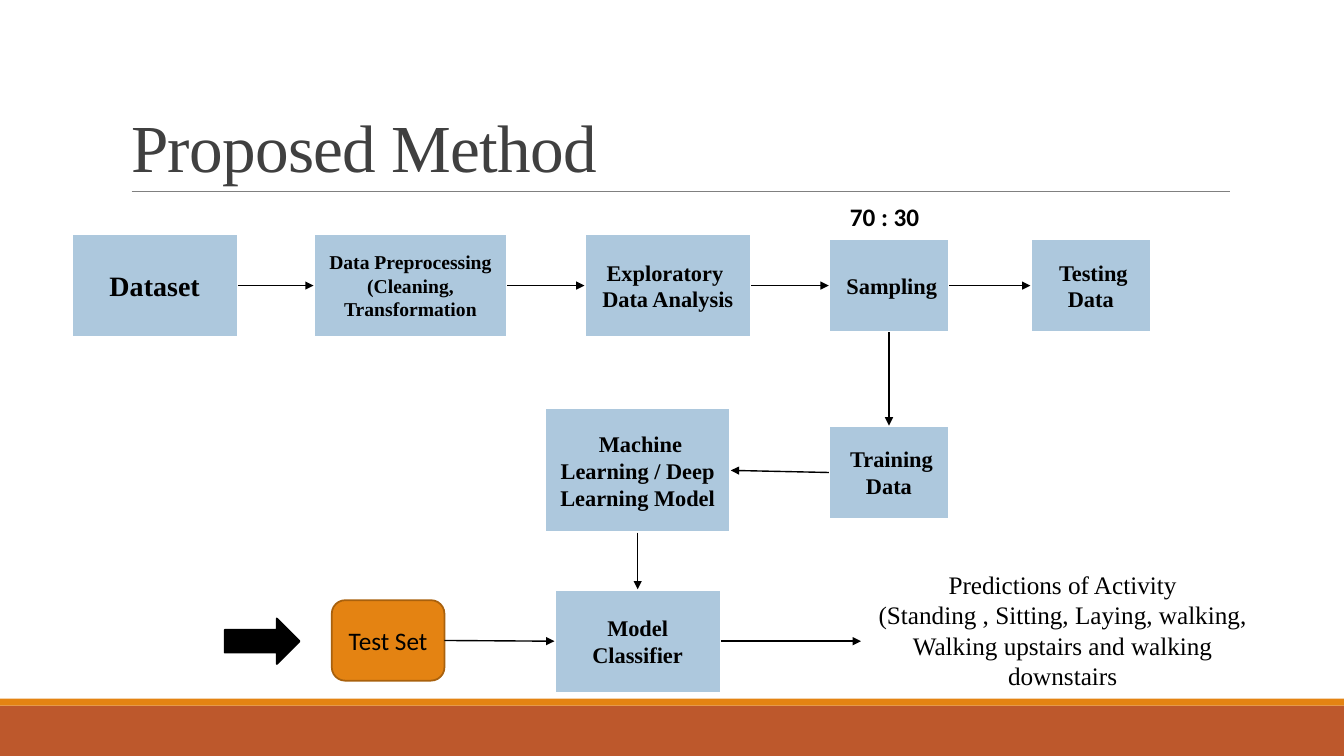
from dataclasses import dataclass

from lxml import etree
from pptx import Presentation
from pptx.dml.color import RGBColor
from pptx.dml.fill import FillFormat
from pptx.enum.shapes import MSO_CONNECTOR, MSO_SHAPE
from pptx.enum.text import MSO_ANCHOR, MSO_AUTO_SIZE, PP_ALIGN
from pptx.oxml.ns import qn
from pptx.shapes.autoshape import Shape
from pptx.shapes.connector import Connector
from pptx.text.text import TextFrame
from pptx.util import Pt

RECT, ROUND, ARROW = MSO_SHAPE.RECTANGLE, MSO_SHAPE.ROUNDED_RECTANGLE, MSO_SHAPE.RIGHT_ARROW
LINE = MSO_CONNECTOR.STRAIGHT
TOP, MIDDLE, BOTTOM = MSO_ANCHOR.TOP, MSO_ANCHOR.MIDDLE, MSO_ANCHOR.BOTTOM
LEFT, CENTER = PP_ALIGN.LEFT, PP_ALIGN.CENTER
FIXED = MSO_AUTO_SIZE.NONE
UP, WEST, DOWN, EAST = range(4)
SITES = {UP: (0.5, 0), WEST: (0, 0.5), DOWN: (0.5, 1), EAST: (1, 0.5)}

SERIF, SANS = "Times New Roman", "Calibri"
BLACK, WHITE, BLUE, ORANGE = "000000", "FFFFFF", "ADC8DD", "E48312"
ROW_A, ROW_B, ROW_C = 204, 336.5, 458


@dataclass
class Box:
    name: str
    text: str
    left: float
    mid: float
    width: float
    height: float
    size: float = 16
    kind: MSO_SHAPE = RECT
    fill: str = BLUE
    edge: str = WHITE
    weight: float = 2
    face: str = SERIF
    bold: bool = True

    def site(self, side: int) -> tuple[float, float]:
        across, down = SITES[side]
        return self.left + across * self.width, self.mid + (down - 0.5) * self.height


@dataclass
class Link:
    start: str
    out: int
    end: str
    into: int


@dataclass
class Label:
    text: str
    left: float
    top: float
    width: float
    height: float
    face: str
    bold: bool
    align: PP_ALIGN


BOXES = [
    Box("data", "Dataset", 51, ROW_A, 119, 74, size=20),
    Box("prep", "Data Preprocessing\n(Cleaning, Transformation", 224, ROW_A, 138.5, 74, size=14),
    Box("explore", "Exploratory \nData Analysis", 417.5, ROW_A, 119, 74),
    Box("sample", " Sampling", 592, ROW_A, 86, 67),
    Box("testing", " Testing\nData", 736, ROW_A, 86.4, 67),
    Box("training", " Training\nData", 592, ROW_B + 1, 86, 67),
    Box("model", " Machine Learning / Deep Learning Model", 389, ROW_B - 0.5, 133, 89),
    Box("class", "Model Classifier", 396, ROW_C, 119, 74),
    Box("test", "Test Set", 237, ROW_C - 0.5, 80.5, 57.5, size=18, kind=ROUND,
        fill=ORANGE, edge="A9610D", weight=1.25, face=SANS, bold=False),
    Box("input", "", 160.5, ROW_C, 53.5, 32.5, kind=ARROW, fill=BLACK, edge=BLACK, weight=1.25),
]
LINKS = [
    Link("data", EAST, "prep", WEST),
    Link("prep", EAST, "explore", WEST),
    Link("explore", EAST, "sample", WEST),
    Link("sample", EAST, "testing", WEST),
    Link("sample", DOWN, "training", UP),
    Link("training", WEST, "model", EAST),
    Link("model", DOWN, "class", UP),
    Link("test", EAST, "class", WEST),
]
LABELS = [
    Label("Predictions of Activity\n(Standing , Sitting, Laying, walking, "
          "Walking upstairs and walking downstairs", 614, 403.25, 290, 94, SERIF, False, CENTER),
    Label("70 : 30", 600, 140, 86.4, 29, SANS, True, LEFT),
]


def paint(fill: FillFormat, color: str) -> None:
    fill.solid()
    fill.fore_color.rgb = RGBColor.from_string(color)


def write(frame: TextFrame, text: str, color: str, align: PP_ALIGN,
          anchor: MSO_ANCHOR, form: dict) -> None:
    frame.text = text
    frame.word_wrap = True
    frame.auto_size = FIXED
    frame.vertical_anchor = anchor
    for para in frame.paragraphs:
        para.alignment = align
        for run in para.runs:
            for key, value in form.items():
                setattr(run.font, key, value)
            paint(run.font.fill, color)


def block(kind: MSO_SHAPE, left: float, top: float, width: float,
          height: float, color: str) -> Shape:
    shape = slide.shapes.add_shape(kind, Pt(left), Pt(top), Pt(width), Pt(height))
    shape.shadow.inherit = False
    paint(shape.fill, color)
    shape.line.fill.background()
    return shape


def draw_box(box: Box) -> Shape:
    shape = block(box.kind, box.left, box.mid - box.height / 2, box.width, box.height, box.fill)
    paint(shape.line.fill, box.edge)
    shape.line.width = Pt(box.weight)
    if box.text:
        write(shape.text_frame, box.text, BLACK, CENTER, MIDDLE,
              {"name": box.face, "size": Pt(box.size), "bold": box.bold})
    return shape


def rule(x1: float, y1: float, x2: float, y2: float, color: str, weight: float) -> Connector:
    line = slide.shapes.add_connector(LINE, Pt(x1), Pt(y1), Pt(x2), Pt(y2))
    paint(line.line.fill, color)
    line.line.width = Pt(weight)
    etree.SubElement(line._element.spPr, qn("a:effectLst"))
    return line


def arrow(x1: float, y1: float, x2: float, y2: float) -> Connector:
    line = rule(x1, y1, x2, y2, BLACK, 1)
    etree.SubElement(line.line._get_or_add_ln(), qn("a:tailEnd"), type="triangle")
    return line


def draw_label(item: Label) -> None:
    area = slide.shapes.add_textbox(Pt(item.left), Pt(item.top), Pt(item.width), Pt(item.height))
    write(area.text_frame, item.text, BLACK, item.align, TOP,
          {"name": item.face, "size": Pt(18), "bold": item.bold})


deck = Presentation()
deck.slide_width, deck.slide_height = Pt(960), Pt(540)
slide = deck.slides.add_slide(deck.slide_layouts[5])

block(RECT, 0, 504, 960, 36, "BD582C")
block(RECT, 0, 499, 960, 5, ORANGE)
rule(94, 136.5, 878.5, 136.5, "808080", 0.5)

title = slide.shapes.title
place = {"left": Pt(86.5), "top": Pt(22), "width": Pt(792), "height": Pt(114.5)}
for key, value in place.items():
    setattr(title, key, value)
write(title.text_frame, "Proposed Method", "404040", LEFT, BOTTOM,
      {"name": SERIF, "size": Pt(48), "bold": False})
head = title.text_frame.paragraphs[0]
head.line_spacing = 0.85
head.runs[0].font._element.set("spc", "-50")

boxes = {box.name: box for box in BOXES}
shapes = {box.name: draw_box(box) for box in BOXES}
for link in LINKS:
    line = arrow(*boxes[link.start].site(link.out), *boxes[link.end].site(link.into))
    line.begin_connect(shapes[link.start], link.out)
    line.end_connect(shapes[link.end], link.into)
arrow(*boxes["class"].site(EAST), 615, ROW_C).begin_connect(shapes["class"], EAST)
for item in LABELS:
    draw_label(item)

deck.save("out.pptx")
